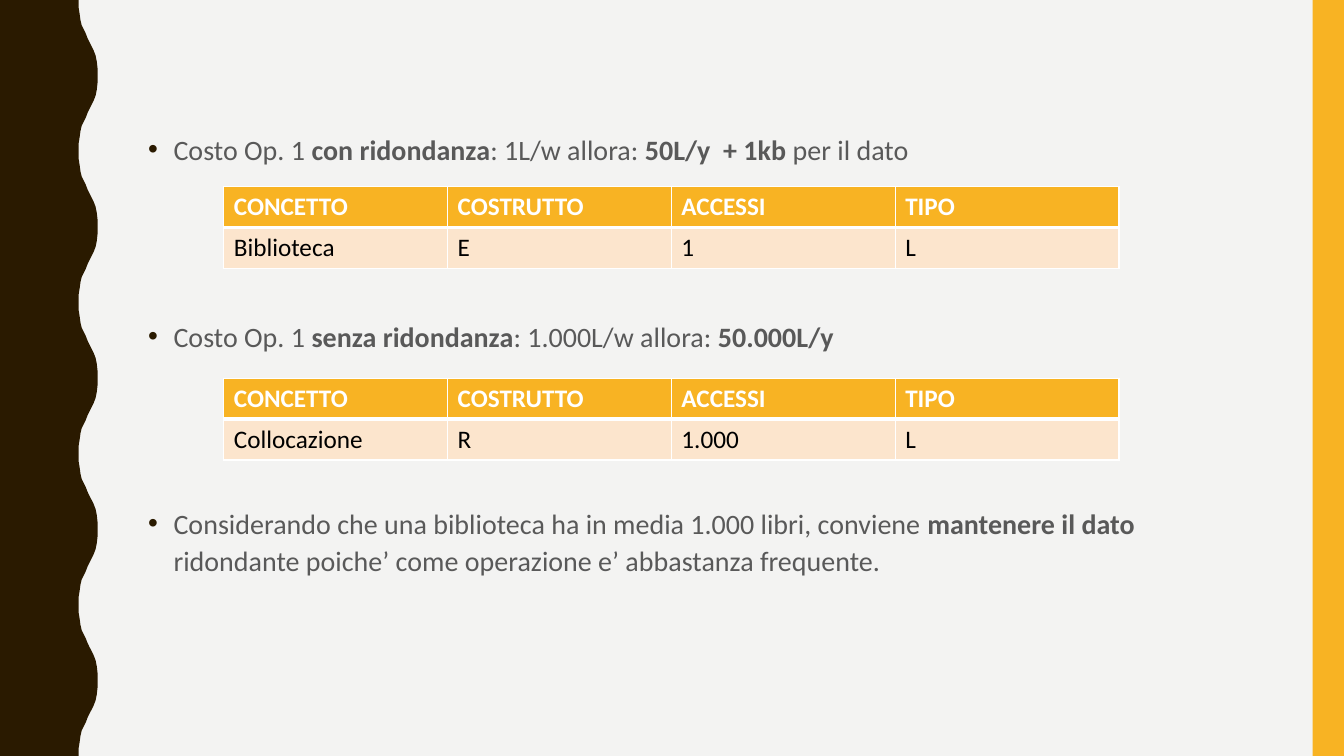
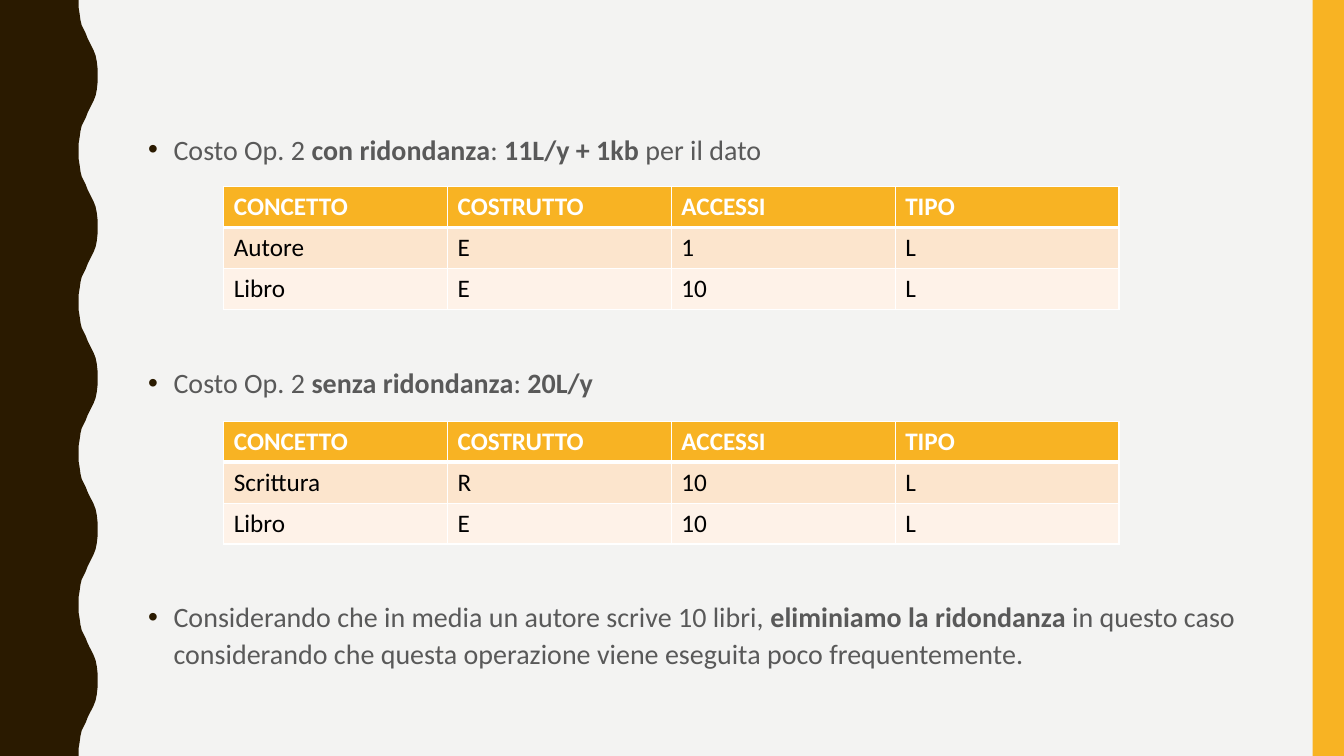
import lxml.etree
import pptx
import pptx.dml.color
import pptx.enum.shapes
import pptx.enum.text
import pptx.oxml.ns
import pptx.util

Cm, Pt = pptx.util.Cm, pptx.util.Pt
qn = pptx.oxml.ns.qn

COLORS = {
    "background": "F3F3F2", "wave": "2A1A00", "accent": "F8B323",
    "body": "595959", "header_text": "FFFFFF", "cell_text": "000000",
    "border": "FFFFFF", "row_odd": "FCE5CD", "row_even": "FEF2E8",
}
FONT = "Calibri"
SLIDE_W, SLIDE_H = 33.87, 19.05
WAVE_COUNT = 5
WAVE_LENGTH = SLIDE_H / WAVE_COUNT
HALF_WAVE = [
    (1.98, 0), (1.98, 0.18), (2.01, 0.36), (2.03, 0.51), (2.06, 0.64),
    (2.11, 0.74), (2.16, 0.84), (2.21, 0.97), (2.26, 1.07), (2.31, 1.17),
    (2.36, 1.27), (2.41, 1.4), (2.44, 1.55), (2.46, 1.73),
]
CREST = (2.46, WAVE_LENGTH / 2)
STRIPE_W = 0.79
COLUMN_W, ROW_H, TABLE_LEFT = 5.64, 1.03, 5.64
SPACE_BEFORE, LINE_STEP = 7, 33.4
HEADER = ["CONCETTO", "COSTRUTTO", "ACCESSI", "TIPO"]

SLIDES = [
    {
        "gap_lines": 3,
        "points": [
            ["Costo Op. 1 ", "con ridondanza", ": 1L/w allora: ", "50L/y  + 1kb", " per il dato"],
            ["Costo Op. 1 ", "senza ridondanza", ": 1.000L/w allora: ", "50.000L/y"],
            ["Considerando che una biblioteca ha in media 1.000 libri, conviene ",
             "mantenere il dato ",
             "ridondante poiche’ come operazione e’ abbastanza frequente."],
        ],
        "tables": [
            (4.7, [["Biblioteca", "E", "1", "L"]]),
            (9.53, [["Collocazione", "R", "1.000", "L"]]),
        ],
    },
    {
        "gap_lines": 4,
        "points": [
            ["Costo Op. 2 ", "con ridondanza", ": ", "11L/y + 1kb ", "per il dato"],
            ["Costo Op. 2 ", "senza ridondanza", ": ", "20L/y"],
            ["Considerando che in media un autore scrive 10 libri, ",
             "eliminiamo la ridondanza",
             " in questo caso considerando che questa operazione viene "
             "eseguita poco frequentemente."],
        ],
        "tables": [
            (4.7, [["Autore", "E", "1", "L"], ["Libro", "E", "10", "L"]]),
            (10.62, [["Scrittura", "R", "10", "L"], ["Libro", "E", "10", "L"]]),
        ],
    },
]


def rgb(name):
    """Return the named colour."""
    return pptx.dml.color.RGBColor.from_string(COLORS[name])


def paint(fill, name):
    """Make a fill solid in the named colour."""
    fill.solid()
    fill.fore_color.rgb = rgb(name)


def format_run(run, size, color, bold):
    """Apply the deck font to one run."""
    run.font.name = FONT
    run.font.size = Pt(size)
    run.font.bold = bold
    run.font.color.rgb = rgb(color)


def add_solid_color(parent, tag, name):
    """Append a colour holder such as buClr or solidFill."""
    holder = lxml.etree.SubElement(parent, qn(tag))
    lxml.etree.SubElement(holder, qn("a:srgbClr")).set("val", COLORS[name])


def wave_outline():
    """Return the corners of the wavy left band in centimetres."""
    falling = [(x, WAVE_LENGTH - y) for x, y in reversed(HALF_WAVE[1:])]
    cycle = HALF_WAVE + [CREST] + falling
    edge = [(x, y + n * WAVE_LENGTH) for n in range(WAVE_COUNT) for x, y in cycle]
    return edge + [(HALF_WAVE[0][0], SLIDE_H), (0, SLIDE_H)]


def decorate_master(master, slide):
    """Give the master its background, wavy band and right stripe."""
    paint(master.background.fill, "background")
    builder = slide.shapes.build_freeform(0, 0)
    builder.add_line_segments([(Cm(x), Cm(y)) for x, y in wave_outline()])
    wave = builder.convert_to_shape()
    stripe = slide.shapes.add_shape(
        pptx.enum.shapes.MSO_SHAPE.RECTANGLE,
        Cm(SLIDE_W - STRIPE_W), 0, Cm(STRIPE_W), Cm(SLIDE_H))
    for order, (band, color) in enumerate([(wave, "wave"), (stripe, "accent")]):
        paint(band.fill, color)
        band.line.fill.background()
        band.shadow.inherit = False
        band.element.nvSpPr.cNvPr.set("id", str(20 + order))
        master.shapes.element.insert(2 + order, band.element)


def fill_points(body, points, gap_lines):
    """Write the bullets, leaving room for a table after each."""
    body.left, body.top, body.width, body.height = Cm(3.48), Cm(3.12), Cm(28.27), Cm(15.04)
    frame = body.text_frame
    frame.auto_size = pptx.enum.text.MSO_AUTO_SIZE.NONE
    frame.vertical_anchor = pptx.enum.text.MSO_ANCHOR.TOP
    for index, pieces in enumerate(points):
        paragraph = frame.add_paragraph() if index else frame.paragraphs[0]
        paragraph.line_spacing = 1.1
        paragraph.space_before = Pt(SPACE_BEFORE + (gap_lines * LINE_STEP if index else 0))
        properties = paragraph._p.get_or_add_pPr()
        properties.set("marL", str(Cm(0.64)))
        properties.set("indent", str(Cm(-0.64)))
        add_solid_color(properties, "a:buClr", "wave")
        for position, piece in enumerate(pieces):
            run = paragraph.add_run()
            run.text = piece
            format_run(run, 20, "body", position % 2 == 1)


def add_borders(cell, row):
    """Draw white cell borders, thicker under the header."""
    properties = cell._tc.get_or_add_tcPr()
    widths = {"L": 1, "R": 1, "T": 3 if row == 1 else 1, "B": 3 if row == 0 else 1}
    for side, width in widths.items():
        line = lxml.etree.SubElement(properties, qn("a:ln" + side))
        line.set("w", str(Pt(width)))
        add_solid_color(line, "a:solidFill", "border")


def add_access_table(slide, top, records):
    """Add one table of accesses with its header row."""
    rows = [HEADER] + records
    table = slide.shapes.add_table(
        len(rows), len(HEADER), Cm(TABLE_LEFT), Cm(top),
        Cm(COLUMN_W * len(HEADER)), Cm(ROW_H * len(rows))).table
    for r, values in enumerate(rows):
        is_header = r == 0
        band = "accent" if is_header else "row_odd" if r % 2 else "row_even"
        for c, value in enumerate(values):
            cell = table.cell(r, c)
            cell.text_frame.text = value
            format_run(cell.text_frame.paragraphs[0].runs[0], 18,
                       "header_text" if is_header else "cell_text", is_header)
            add_borders(cell, r)
            paint(cell.fill, band)


def add_cost_slide(deck, content):
    """Add one slide comparing the costs of an operation."""
    slide = deck.slides.add_slide(deck.slide_layouts[1])
    title = slide.shapes.title.element
    title.getparent().remove(title)
    fill_points(slide.placeholders[1], content["points"], content["gap_lines"])
    for top, records in content["tables"]:
        add_access_table(slide, top, records)
    return slide


def main():
    """Build and save the deck."""
    deck = pptx.Presentation()
    deck.slide_width, deck.slide_height = Cm(SLIDE_W), Cm(SLIDE_H)
    slides = [add_cost_slide(deck, content) for content in SLIDES]
    decorate_master(deck.slide_master, slides[0])
    deck.save("out.pptx")


if __name__ == "__main__":
    main()
